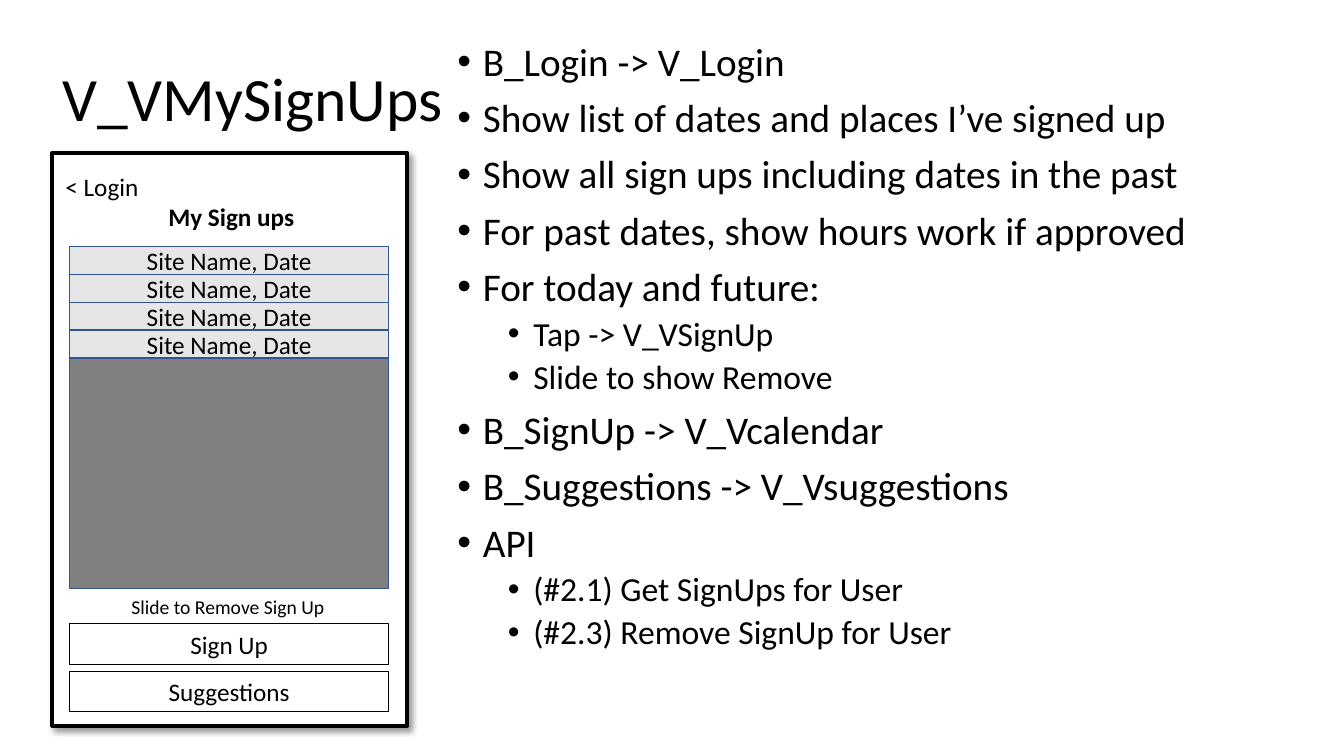
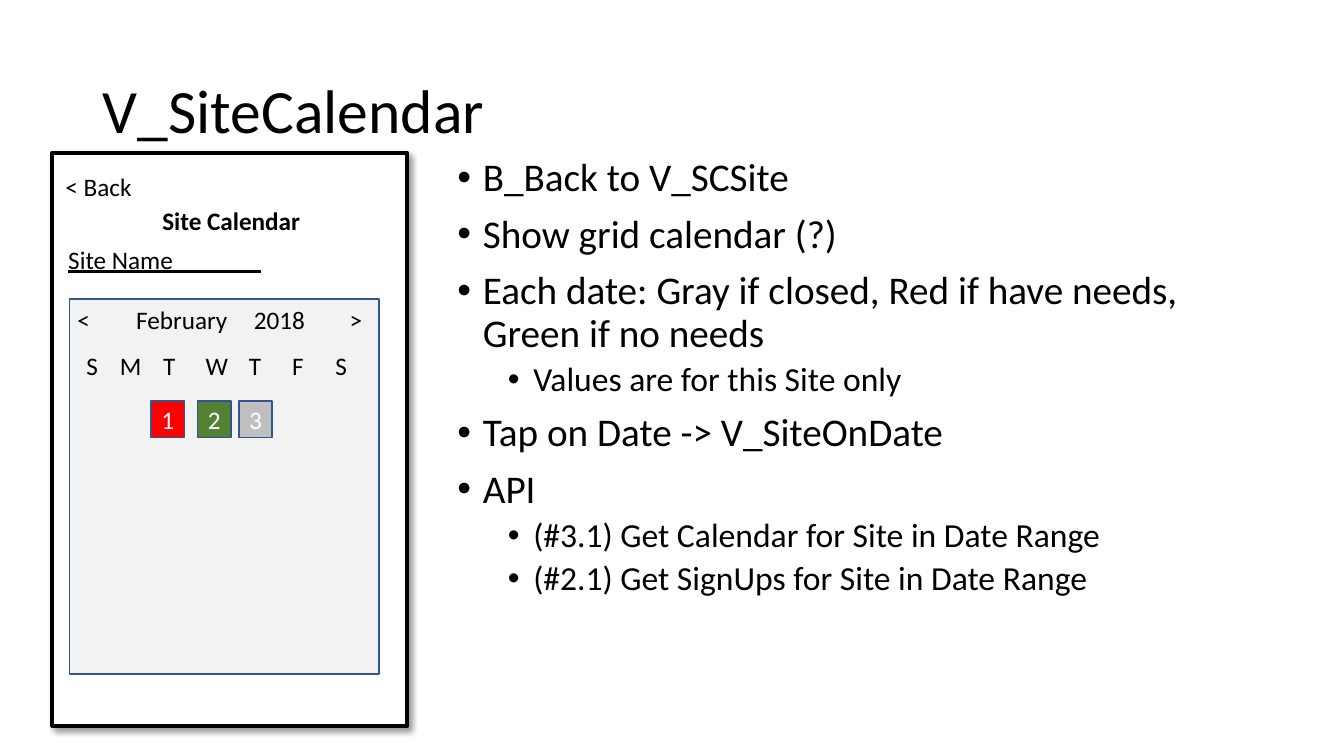
from lxml import etree
from pptx import Presentation
from pptx.dml.color import RGBColor
from pptx.enum import shapes, text
from pptx.oxml import ns
from pptx.util import Cm, Pt

HUES = {
    "black": "000000", "white": "FFFFFF", "blue": "325491", "list": "808080",
    "row": "E7E6E6", "month": "F2F2F2", "needs": "FF0000", "full": "548235",
    "closed": "BFBFBF",
}
FONT = "Calibri"
MID, TOP = text.MSO_ANCHOR.MIDDLE, text.MSO_ANCHOR.TOP
LEFT, CENTER = text.PP_ALIGN.LEFT, text.PP_ALIGN.CENTER


def write(shape, lines, size=18, hue="black", align=LEFT, anchor=TOP,
          wrap=True, bold=None, under=None, space=None):
    """Fill a shape with lines, each a string or a (level, string) bullet."""
    frame = shape.text_frame
    frame.word_wrap = wrap
    frame.vertical_anchor = anchor
    for i, line in enumerate(lines):
        para = frame.paragraphs[0] if i == 0 else frame.add_paragraph()
        para.alignment = align
        para.line_spacing = space
        pts = size
        if isinstance(line, tuple):
            level, line = line
            pts = size - 4 * level
            para.level = level
            if i:
                para.space_before = Pt(10 - 5 * level)
            props = para._p.get_or_add_pPr()
            props.set("marL", str(Cm(0.64 + 1.27 * level)))
            props.set("indent", str(-Cm(0.64)))
            face = etree.SubElement(props, ns.qn("a:buFont"))
            face.set("typeface", "Arial")
            mark = etree.SubElement(props, ns.qn("a:buChar"))
            mark.set("char", "•")
        para.text = line
        font = para.font
        font.name, font.size = FONT, Pt(pts)
        font.bold, font.underline = bold, under
        font.color.rgb = RGBColor.from_string(HUES[hue])


def rect(slide, box, fill=None, line="blue", width=1):
    shape = slide.shapes.add_shape(
        shapes.MSO_SHAPE.RECTANGLE, *(Cm(n) for n in box))
    shape.shadow.inherit = False
    if fill:
        shape.fill.solid()
        shape.fill.fore_color.rgb = RGBColor.from_string(HUES[fill])
    else:
        shape.fill.background()
    shape.line.color.rgb = RGBColor.from_string(HUES[line])
    shape.line.width = Pt(width)
    return shape


deck = Presentation()
deck.slide_width, deck.slide_height = Cm(33.87), Cm(19.05)

# Title, title box, body box, back link, screen heading, heading top, bullets
pages = [
    ("V_VMySignUps", (1.32, 0.71, 10.49, 3.68), (11.28, 0.94, 20.27, 17.32),
     "< Login", "My Sign ups", 4.95, [
         (0, "B_Login -> V_Login"),
         (0, "Show list of dates and places I’ve signed up"),
         (0, "Show all sign ups including dates in the past"),
         (0, "For past dates, show hours work if approved"),
         (0, "For today and future:"),
         (1, "Tap -> V_VSignUp"),
         (1, "Slide to show Remove"),
         (0, "B_SignUp -> V_Vcalendar"),
         (0, "B_Suggestions -> V_Vsuggestions"),
         (0, "API"),
         (1, "(#2.1) Get SignUps for User"),
         (1, "(#2.3) Remove SignUp for User")]),
    ("V_SiteCalendar", (2.34, 1.02, 29.21, 3.68), (11.28, 3.86, 20.27, 14.43),
     "< Back", "Site Calendar", 5.06, [
         (0, "B_Back to V_SCSite"),
         (0, "Show grid calendar (?)"),
         (0, "Each date: Gray if closed, Red if have needs, "
             "Green if no needs"),
         (1, "Values are for this Site only"),
         (0, "Tap on Date -> V_SiteOnDate"),
         (0, "API"),
         (1, "(#3.1) Get Calendar for Site in Date Range"),
         (1, "(#2.1) Get SignUps for Site in Date Range")]),
]

# Parts that both slides share: phone screen, title, bullets, screen heading
slides = []
for title, head, body, back, name, top, notes in pages:
    slide = deck.slides.add_slide(deck.slide_layouts[6])
    slides.append(slide)
    phone = rect(slide, (1.32, 3.86, 8.94, 14.43), "white", "black", 3)
    glow = phone._element.spPr.find(ns.qn("a:effectLst"))
    cast = etree.SubElement(
        glow, ns.qn("a:outerShdw"), blurRad=str(Pt(4)), dist=str(Pt(3)),
        dir="2700000", algn="tl", rotWithShape="0")
    tint = etree.SubElement(cast, ns.qn("a:srgbClr"), val=HUES["black"])
    etree.SubElement(tint, ns.qn("a:alpha"), val="40000")

    for box, lines, style in [
        (head, [title], dict(size=44, anchor=MID, space=0.9)),
        (body, notes, dict(size=28, space=0.9)),
        ((1.4, 4.19, 2.39, 1.02), [back], dict(wrap=False)),
        ((1.4, top, 8.86, 1.02), [name], dict(align=CENTER, bold=True)),
    ]:
        label = slide.shapes.add_textbox(*(Cm(n) for n in box))
        write(label, lines, **style)

signs, month = slides

# Sign-up list and buttons
left, wide, high = 1.75, 8.05, 0.7
rect(signs, (left, 6.22, wide, 8.61), "list")
for i in range(4):
    row = rect(signs, (left, 6.22 + i * high, wide, high), "row")
    write(row, ["Site Name, Date"], align=CENTER, anchor=MID)
for i, name in enumerate(["Sign Up", "Suggestions"]):
    button = rect(signs, (left, 15.72 + 1.19 * i, wide, 1.02),
                  None, "black", 0.75)
    write(button, [name], align=CENTER, anchor=MID)
hint = signs.shapes.add_textbox(Cm(1.4), Cm(14.86), Cm(8.69), Cm(0.86))
write(hint, ["Slide to Remove Sign Up"], size=14, align=CENTER)

# Month grid
site = month.shapes.add_textbox(Cm(1.47), Cm(6.02), Cm(8.08), Cm(1.02))
write(site, ["Site Name_______"], under=True)
rect(month, (left, 7.54, 7.8, 9.45), "month")
for day, x, fill in [("1", 3.81, "needs"), ("2", 4.98, "full"),
                     ("3", 6.02, "closed")]:
    date = rect(month, (x, 10.11, 0.84, 0.91), fill)
    write(date, [day], hue="white", align=CENTER, anchor=MID)

bar = [("<", 1.7, 0.84), ("February", 3.18, 2.84), ("2018", 6.15, 1.8),
       (">", 8.56, 0.84)]
week = [("S", 1.93, 0.81), ("M", 2.77, 1.07), ("T", 3.86, 0.81),
        ("W", 4.93, 1.09), ("T", 6.02, 0.81), ("F", 7.11, 0.81),
        ("S", 8.2, 0.81)]
for top, cells in [(7.54, bar), (8.71, week)]:
    for word, x, width in cells:
        cell = month.shapes.add_textbox(Cm(x), Cm(top), Cm(width), Cm(1.02))
        write(cell, [word], wrap=False)

deck.save("out.pptx")
